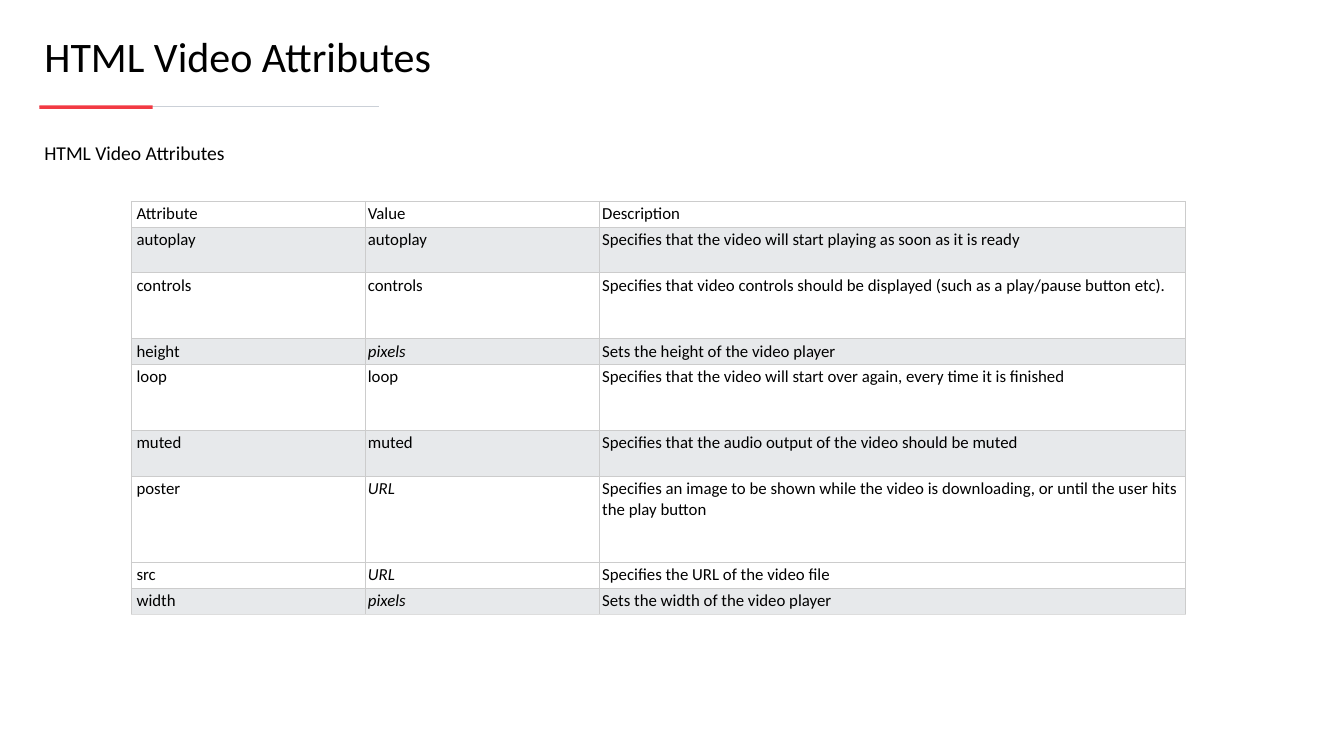
"""Build a slide with a table of the HTML video attributes."""
from lxml import etree
from pptx import Presentation
from pptx.dml.color import RGBColor
from pptx.enum.shapes import MSO_CONNECTOR, MSO_SHAPE
from pptx.enum.text import MSO_ANCHOR, MSO_AUTO_SIZE, PP_ALIGN
from pptx.oxml.ns import qn
from pptx.util import Inches, Pt

STRAIGHT = MSO_CONNECTOR.STRAIGHT
RECTANGLE = MSO_SHAPE.RECTANGLE
MIDDLE = MSO_ANCHOR.MIDDLE
FIXED = MSO_AUTO_SIZE.NONE
LEFT = PP_ALIGN.LEFT

MARGIN = 0.78
COLUMN = 4.65
LINE, PADDING = 0.4, 0.11
COLUMN_SHARES = [1, 1, 2.5]
HEADINGS = ("Attribute", "Value", "Description", 1, "FFFFFF")
ATTRIBUTES = [
    ("autoplay", "autoplay", "Specifies that the video will start playing as soon as it is ready", 2, "E7E9EB"),
    ("controls", "controls",
     "Specifies that video controls should be displayed (such as a play/pause button etc).", 3, "FFFFFF"),
    ("height", "pixels", "Sets the height of the video player", 1, "E7E9EB"),
    ("loop", "loop", "Specifies that the video will start over again, every time it is finished", 3, "FFFFFF"),
    ("muted", "muted", "Specifies that the audio output of the video should be muted", 2, "E7E9EB"),
    ("poster", "URL",
     "Specifies an image to be shown while the video is downloading, or until the user hits the play button",
     4, "FFFFFF"),
    ("src", "URL", "Specifies the URL of the video file", 1, "FFFFFF"),
    ("width", "pixels", "Sets the width of the video player", 1, "E7E9EB"),
]
ROWS = [HEADINGS] + ATTRIBUTES


def color(value):
    return RGBColor.from_string(value)


def write(frame, text, size):
    frame.word_wrap = True
    paragraph = frame.paragraphs[0]
    paragraph.text = text
    paragraph.alignment = LEFT
    paragraph.font.name = "Calibri"
    paragraph.font.size = Pt(size)
    paragraph.font.color.rgb = color("000000")
    return paragraph


deck = Presentation()
deck.slide_width, deck.slide_height = Inches(26.67), Inches(15)
page = deck.slides.add_slide(deck.slide_layouts[5])

rule = page.shapes.add_connector(STRAIGHT, Inches(MARGIN), Inches(2.12), Inches(7.52), Inches(2.12))
rule.line.color.rgb = color("CBD0D7")
rule.line.width = Pt(1.5)
etree.SubElement(rule._element.spPr, qn("a:effectLst"))

accent = page.shapes.add_shape(RECTANGLE, Inches(MARGIN), Inches(2.09), Inches(2.25), Inches(0.07))
accent.shadow.inherit = False
accent.fill.solid()
accent.fill.fore_color.rgb = color("F23A43")
accent.line.fill.background()

title = page.shapes.title
title.left, title.top, title.width, title.height = Inches(MARGIN), Inches(0.59), Inches(25.05), Inches(1.04)
title.text_frame.auto_size = FIXED
title.text_frame.vertical_anchor = MIDDLE
write(title.text_frame, "HTML Video Attributes", 60)

subtitle = page.shapes.add_textbox(Inches(MARGIN), Inches(2.63), Inches(24.22), Inches(10.04))
write(subtitle.text_frame, "HTML Video Attributes", 28).line_spacing = 1.25

heights = [PADDING + LINE * row[3] for row in ROWS]
table = page.shapes.add_table(
    len(ROWS), len(COLUMN_SHARES), Inches(2.6), Inches(3.99),
    Inches(COLUMN * sum(COLUMN_SHARES)), Inches(sum(heights))).table
for column, share in zip(table.columns, COLUMN_SHARES):
    column.width = Inches(COLUMN * share)

for row_index, (*texts, lines, fill) in enumerate(ROWS):
    table.rows[row_index].height = Inches(heights[row_index])
    for column_index, text in enumerate(texts):
        cell = table.cell(row_index, column_index)
        cell.margin_left = Inches(0.05 if column_index else 0.11)
        cell.margin_right = cell.margin_top = cell.margin_bottom = Inches(0.05)
        paragraph = write(cell.text_frame, text, 24)
        paragraph.font.italic = text in ("pixels", "URL")
        for side in ("lnL", "lnR", "lnT", "lnB"):
            last_edge = side == "lnB" and row_index == len(ROWS) - 1
            border = etree.SubElement(cell._tc.get_or_add_tcPr(), qn(f"a:{side}"), w=str(Pt(0.75)))
            solid = etree.SubElement(border, qn("a:solidFill"))
            etree.SubElement(solid, qn("a:srgbClr"), val="DDDDDD" if last_edge else "CCCCCC")
        cell.fill.solid()
        cell.fill.fore_color.rgb = color(fill)

deck.save("out.pptx")
